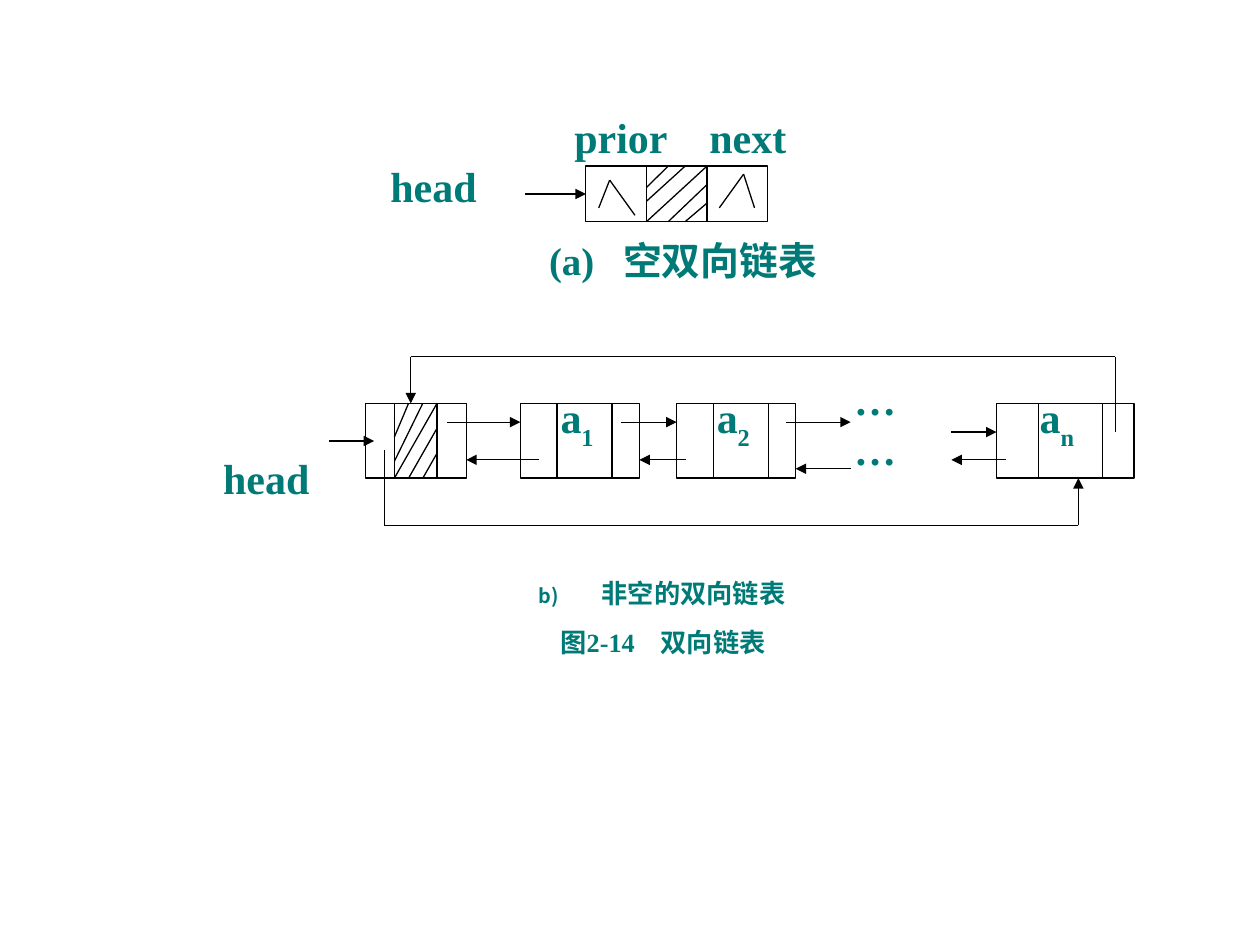
from lxml import etree
from pptx import Presentation
from pptx.dml.color import RGBColor
from pptx.enum.shapes import MSO_CONNECTOR, MSO_SHAPE
from pptx.enum.text import PP_ALIGN
from pptx.oxml.ns import qn
from pptx.util import Cm, Pt

STRAIGHT = MSO_CONNECTOR.STRAIGHT
RECTANGLE = MSO_SHAPE.RECTANGLE
LEFT, CENTER = PP_ALIGN.LEFT, PP_ALIGN.CENTER
COLORS = {"line": "000000", "fill": "FFFFFF", "text": "007A77"}
FONT = "Times New Roman"
LINE_WIDTH = Pt(0.75)

presentation = Presentation()
presentation.slide_width, presentation.slide_height = Cm(25.4), Cm(19.05)
slide = presentation.slides.add_slide(presentation.slide_layouts[6])


def add_line(x1, y1, x2, y2, arrow=False):
    connector = slide.shapes.add_connector(STRAIGHT, Cm(x1), Cm(y1), Cm(x2), Cm(y2))
    connector.line.color.rgb = RGBColor.from_string(COLORS["line"])
    connector.line.width = LINE_WIDTH
    if arrow:
        etree.SubElement(connector.line._get_or_add_ln(), qn("a:tailEnd"), type="triangle")
    etree.SubElement(connector._element.spPr, qn("a:effectLst"))
    return connector


def add_text(text, x, y, width, height=1, size=24, align=LEFT, spacing=None,
             subscript=None, tab=None, number=None):
    """Write one paragraph per line; tab is a stop in cm, number a list start."""
    frame = slide.shapes.add_textbox(Cm(x), Cm(y), Cm(width), Cm(height)).text_frame
    frame.word_wrap = True
    frame.margin_left = frame.margin_right = frame.margin_top = frame.margin_bottom = 0
    for index, line in enumerate(text.split("\n")):
        paragraph = frame.add_paragraph() if index else frame.paragraphs[0]
        properties = paragraph._p.get_or_add_pPr()
        if number:
            properties.set("marL", str(Cm(1.27)))
            properties.set("indent", str(-Cm(1.27)))
            bullet_color = etree.SubElement(properties, qn("a:buClr"))
            etree.SubElement(bullet_color, qn("a:srgbClr"), val=COLORS["text"])
            etree.SubElement(properties, qn("a:buSzPct"), val="75000")
            etree.SubElement(properties, qn("a:buAutoNum"), type="alphaLcParenR", startAt=str(number))
        if tab:
            tabs = etree.SubElement(properties, qn("a:tabLst"))
            etree.SubElement(tabs, qn("a:tab"), pos=str(Cm(tab)), algn="l")
        paragraph.alignment = align
        if spacing:
            paragraph.line_spacing = spacing
        for part in filter(None, (line, subscript)):
            run = paragraph.add_run()
            run.text = part
            run.font.size, run.font.bold, run.font.name = Pt(size), True, FONT
            run.font.color.rgb = RGBColor.from_string(COLORS["text"])
            if part == subscript:
                run._r.get_or_add_rPr().set("baseline", "-30000")


# Nodes: left, top, width, height and the two dividers between their fields
nodes = [
    (11.81, 3.35, 3.66, 1.12, (13.03, 14.25)),
    (7.37, 8.13, 2.03, 1.51, (7.95, 8.81)),
    (10.49, 8.13, 2.4, 1.51, (11.23, 12.34)),
    (13.64, 8.13, 2.4, 1.51, (14.38, 15.49)),
    (20.09, 8.13, 2.77, 1.51, (20.93, 22.23)),
]
node_shapes = []
for left, top, width, height, dividers in nodes:
    shape = slide.shapes.add_shape(RECTANGLE, Cm(left), Cm(top), Cm(width), Cm(height))
    shape.shadow.inherit = False
    shape.fill.solid()
    shape.fill.fore_color.rgb = RGBColor.from_string(COLORS["fill"])
    shape.line.color.rgb = RGBColor.from_string(COLORS["line"])
    shape.line.width = LINE_WIDTH
    node_shapes.append(shape)
    for divider in dividers:
        add_line(divider, top, divider, top + height)

# Hatching of both head nodes: a diagonal, two strokes above it and two below.
# Upper strokes are given by their top x and left y.
for (left, top, width, height, (start, end)), left_ys in zip(nodes[:2], [(3.78, 4.06), (8.81, 9.3)]):
    bottom = top + height
    add_line(end, top, start, bottom)
    thirds = [start + (end - start) * step for step in (0.36, 0.64)]
    if top > 5:
        thirds = [start + (end - start) / 3, start + (end - start) * 2 / 3]
    for step, (x, left_y) in enumerate(zip(thirds, left_ys), 1):
        add_line(x, top, start, left_y)
        add_line(end, top + height * step / 3, x, bottom)

# Null marks of the empty list
for left, peak, right, top, right_bottom in [(12.07, 12.29, 12.8, 3.63, 4.34),
                                             (14.5, 14.99, 15.21, 3.51, 4.19)]:
    add_line(left, 4.19, peak, top)
    add_line(peak, top, right, right_bottom)

head_arrow = add_line(10.59, 3.91, 11.81, 3.91, arrow=True)
head_arrow.end_connect(node_shapes[0], 1)

# Horizontal arrows: from x, to x, y
for start, end, y in [
    (6.63, 7.54, 8.89),
    (9.02, 10.49, 8.51), (12.52, 13.64, 8.51), (15.85, 17.15, 8.51), (19.18, 20.09, 8.71),
    (10.87, 9.4, 9.27), (13.82, 12.89, 9.27), (17.15, 16.04, 9.45), (20.27, 19.18, 9.27),
]:
    add_line(start, y, end, y, arrow=True)

# Links that close the ring: from x, from y, turning y, to x, to y
for x1, y1, turn, x2, y2 in [(22.48, 8.71, 7.19, 8.28, 8.13), (7.75, 9.07, 10.59, 21.74, 9.64)]:
    add_line(x1, y1, x1, turn)
    add_line(x1, turn, x2, turn)
    add_line(x2, turn, x2, y2, arrow=True)

add_text("prior\tnext", 11.58, 2.24, 4.6, tab=2.72)
add_text("head", 7.87, 3.23, 2.5)
add_text("head", 4.5, 9.12, 2.1)
add_text("(a)\t空双向链表", 11.07, 4.88, 6, size=22.2, spacing=0.9, tab=1.49)
for subscript, x in [("1", 11.3), ("2", 14.45), ("n", 20.96)]:
    add_text("a", x, 7.9, 1.2, subscript=subscript)
add_text("…\n…", 17.22, 7.52, 1.2, height=2)
add_text("非空的双向链表", 7.67, 11.76, 11.35, size=15, align=CENTER, spacing=0.8, number=2)
add_text("图2-14\t双向链表", 11.3, 12.75, 6, size=15, spacing=0.8, tab=2.02)

presentation.save("out.pptx")
